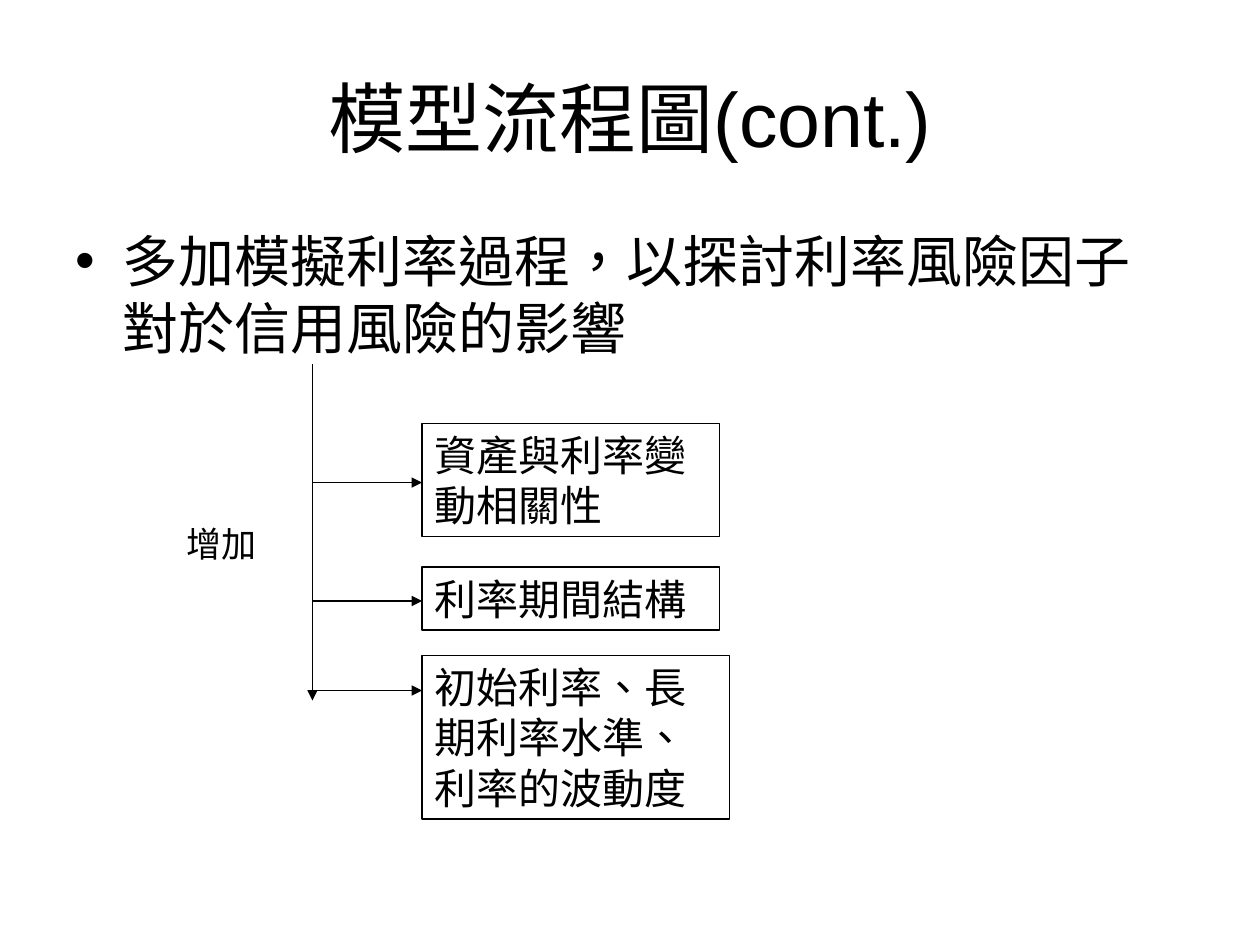
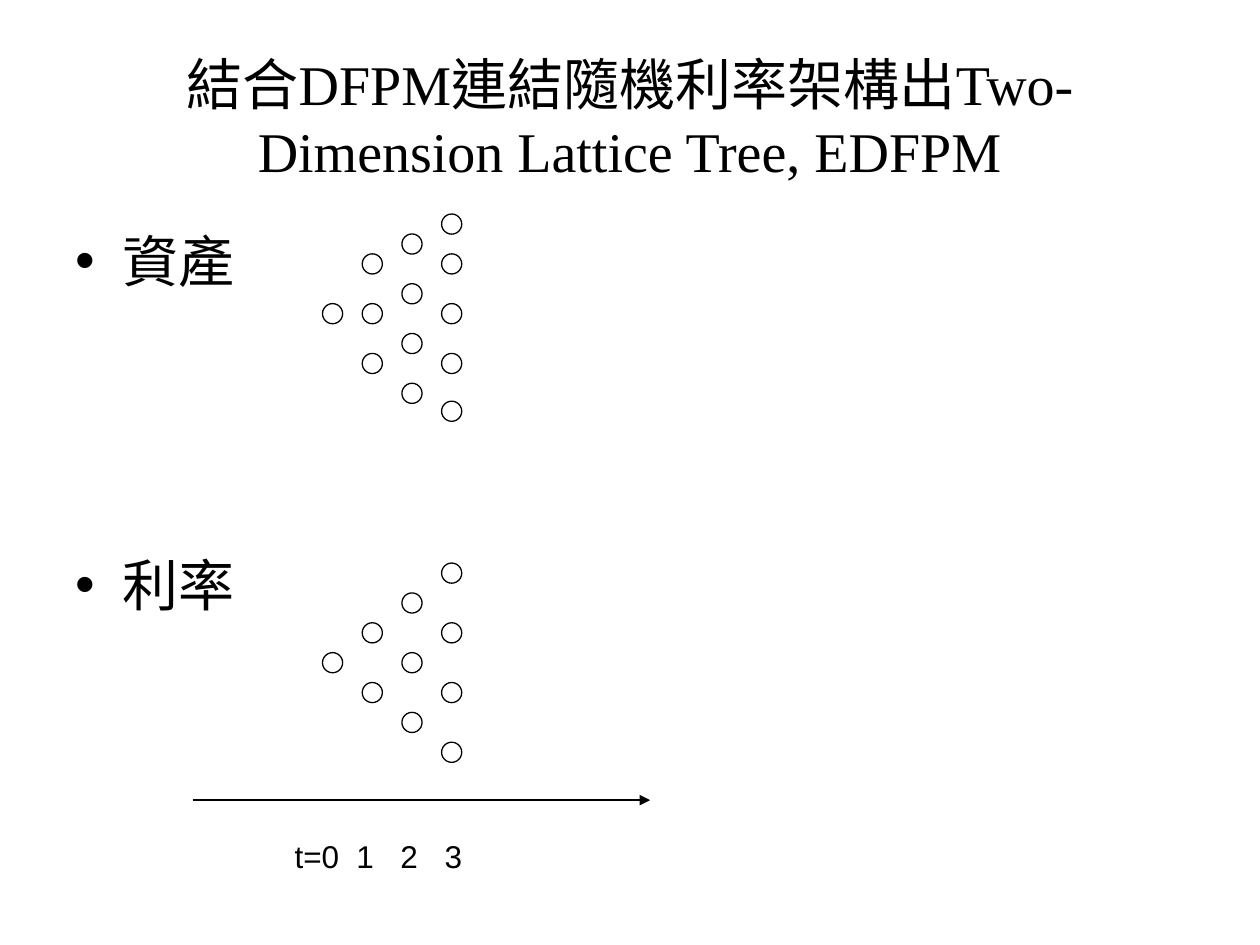
from dataclasses import dataclass

from lxml.etree import SubElement
from pptx import Presentation
from pptx.dml.color import RGBColor
from pptx.enum.lang import MSO_LANGUAGE_ID as Language
from pptx.enum.shapes import MSO_CONNECTOR as Connector, MSO_SHAPE as Preset
from pptx.enum.text import MSO_ANCHOR as Anchor, PP_ALIGN as Align
from pptx.oxml.ns import qn
from pptx.util import Inches, Pt

# Shared grid: 100 columns by 75 rows of square cells
COLUMNS, ROWS = 100, 75
CELL = Inches(10) // COLUMNS
COLORS = {"ink": "000000", "paper": "FFFFFF"}
LATIN, CJK, SERIF = "Arial", "Noto Sans CJK SC", "Times New Roman"
LINE_WIDTH = Pt(0.75)
INDENT = 3.75


@dataclass(frozen=True)
class Area:
    left: float
    top: float
    width: float
    height: float

    def emu(self) -> list[int]:
        return [cells(v) for v in (self.left, self.top, self.width, self.height)]


@dataclass(frozen=True)
class Phrase:
    text: str
    font: str = LATIN


@dataclass(frozen=True)
class Factor:
    text: str
    area: Area
    arrow_row: float


@dataclass(frozen=True)
class Lattice:
    root_row: float
    steps: tuple[tuple[float, ...], ...]


TITLE = Area(5, 3, 90, 12.5)
BODY = Area(5, 17.5, 90, 49.5)

# Flow slide: a trunk that branches to the added factors
TRUNK_COL, FACTOR_COL = 24.8, 33.5
TRUNK_ROWS = (28.9, 55.6)
FACTORS = (
    Factor("資產與利率變動相關性", Area(FACTOR_COL, 33.6, 23.6, 9), 38.3),
    Factor("利率期間結構", Area(FACTOR_COL, 45, 23.6, 5), 47.7),
    Factor("初始利率、長期利率水準、利率的波動度", Area(FACTOR_COL, 52, 24.4, 13), 54.8),
)

# Lattice slide: node offsets from the root, in lattice units, for each time
UNIT = 0.79
NODE_SIZE, FIRST_NODE_COL, TIME_STEP = 1.6, 25.6, 3.15
LATTICES = (
    Lattice(24.1, ((0,), (-5, 0, 5), (-7, -2, 3, 8), (-9, -5, 0, 5, 9.8))),
    Lattice(51.8, tuple(tuple(3 * (2 * up - time) for up in range(time + 1))
                        for time in range(4))),
)
TIME_TABS = (4.9, 8.4, 11.9)


def cells(count: float) -> int:
    return round(count * CELL)


def ink(name: str) -> RGBColor:
    return RGBColor.from_string(COLORS[name])


def write(paragraph, phrases: tuple[Phrase, ...], size: float) -> None:
    for phrase in phrases:
        run = paragraph.add_run()
        run.text = phrase.text
        style = {"name": phrase.font, "size": Pt(size),
                 "language_id": Language.TRADITIONAL_CHINESE}
        for key, value in style.items():
            setattr(run.font, key, value)
        run.font.color.rgb = ink("ink")


def prepare(frame, anchor=Anchor.TOP) -> None:
    settings = {"word_wrap": True, "vertical_anchor": anchor,
                "margin_left": cells(1), "margin_right": cells(1),
                "margin_top": cells(0.5), "margin_bottom": cells(0.5)}
    for key, value in settings.items():
        setattr(frame, key, value)


def add_text(slide, area: Area, phrases: tuple[Phrase, ...], size: float,
             align=Align.LEFT, anchor=Anchor.TOP):
    frame = slide.shapes.add_textbox(*area.emu()).text_frame
    prepare(frame, anchor)
    paragraph = frame.paragraphs[0]
    paragraph.alignment = align
    write(paragraph, phrases, size)
    return paragraph


def add_title(slide, phrases: tuple[Phrase, ...], size: float) -> None:
    add_text(slide, TITLE, phrases, size, Align.CENTER, Anchor.MIDDLE)


def add_bullets(slide, items: tuple[str, ...], gap: float = 0) -> None:
    frame = slide.shapes.add_textbox(*BODY.emu()).text_frame
    prepare(frame)
    for index, item in enumerate(items):
        paragraph = frame.add_paragraph() if index else frame.paragraphs[0]
        if index:
            paragraph.space_before = Pt(gap)
        props = paragraph._p.get_or_add_pPr()
        props.set("marL", str(cells(INDENT)))
        props.set("indent", str(-cells(INDENT)))
        SubElement(props, qn("a:buFont"), typeface=LATIN)
        SubElement(props, qn("a:buChar"), char="•")
        write(paragraph, (Phrase(item),), 32)


def add_preset(slide, preset, area: Area, filled: bool):
    shape = slide.shapes.add_shape(preset, *area.emu())
    shape.shadow.inherit = False
    if filled:
        shape.fill.solid()
        shape.fill.fore_color.rgb = ink("paper")
    else:
        shape.fill.background()
    shape.line.color.rgb = ink("ink")
    shape.line.width = LINE_WIDTH
    return shape


def add_arrow(slide, start: tuple[float, float], end: tuple[float, float]) -> None:
    arrow = slide.shapes.add_connector(
        Connector.STRAIGHT, *(cells(v) for v in (*start, *end)))
    arrow.line.color.rgb = ink("ink")
    arrow.line.width = LINE_WIDTH
    SubElement(arrow.line._get_or_add_ln(), qn("a:tailEnd"), type="triangle")
    SubElement(arrow._element.spPr, qn("a:effectLst"))


def add_factor(slide, factor: Factor) -> None:
    frame = add_preset(slide, Preset.RECTANGLE, factor.area, False).text_frame
    prepare(frame)
    frame.paragraphs[0].alignment = Align.LEFT
    write(frame.paragraphs[0], (Phrase(factor.text),), 24)
    add_arrow(slide, (TRUNK_COL, factor.arrow_row), (FACTOR_COL, factor.arrow_row))


def add_lattice(slide, lattice: Lattice) -> None:
    for time, offsets in enumerate(lattice.steps):
        for offset in offsets:
            area = Area(FIRST_NODE_COL + time * TIME_STEP,
                        lattice.root_row + offset * UNIT, NODE_SIZE, NODE_SIZE)
            add_preset(slide, Preset.OVAL, area, True)


def build_flow(slide) -> None:
    add_title(slide, (Phrase("模型流程圖(cont.)"),), 44)
    add_bullets(slide, ("多加模擬利率過程，以探討利率風險因子對於信用風險的影響",))
    add_arrow(slide, (TRUNK_COL, TRUNK_ROWS[0]), (TRUNK_COL, TRUNK_ROWS[1]))
    for factor in FACTORS:
        add_factor(slide, factor)
    add_text(slide, Area(13.8, 41, 12.6, 4.4), (Phrase("增加"),), 20)


def build_lattices(slide) -> None:
    add_title(slide, (Phrase("結合", CJK), Phrase("DFPM", SERIF),
                      Phrase("連結隨機利率架構出", CJK),
                      Phrase("Two-Dimension Lattice Tree, EDFPM", SERIF)), 32)
    add_bullets(slide, ("資產", "利率"), gap=146.8)
    for lattice in LATTICES:
        add_lattice(slide, lattice)
    # Time axis, with a tab stop under each lattice column
    add_arrow(slide, (15.3, 63.5), (51.6, 63.5))
    times = add_text(slide, Area(22.4, 65.9, 27.6, 4), (Phrase("t=0\t1\t2\t3"),), 18)
    stops = SubElement(times._p.get_or_add_pPr(), qn("a:tabLst"))
    for stop in TIME_TABS:
        SubElement(stops, qn("a:tab"), pos=str(cells(stop)), algn="l")


def main() -> None:
    deck = Presentation()
    deck.slide_width, deck.slide_height = COLUMNS * CELL, ROWS * CELL
    for build in (build_flow, build_lattices):
        build(deck.slides.add_slide(deck.slide_layouts[6]))
    deck.save("out.pptx")


if __name__ == "__main__":
    main()
